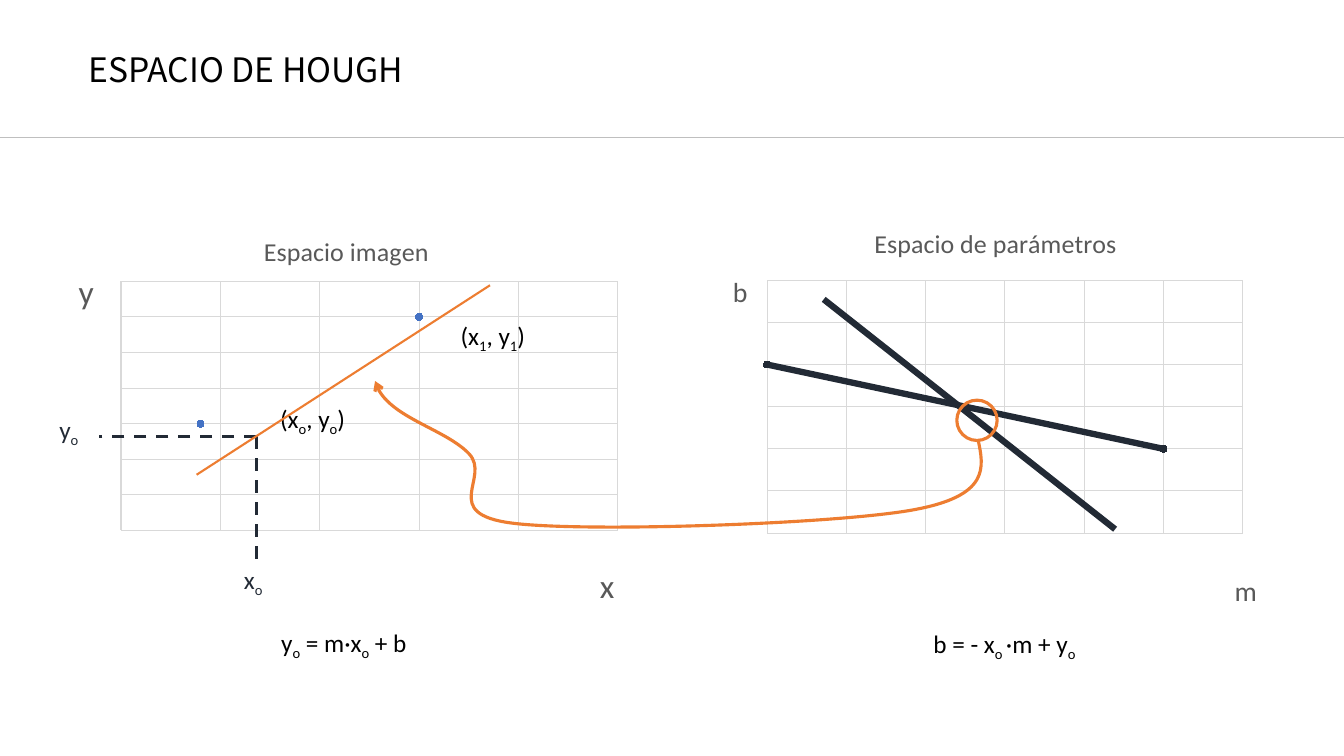
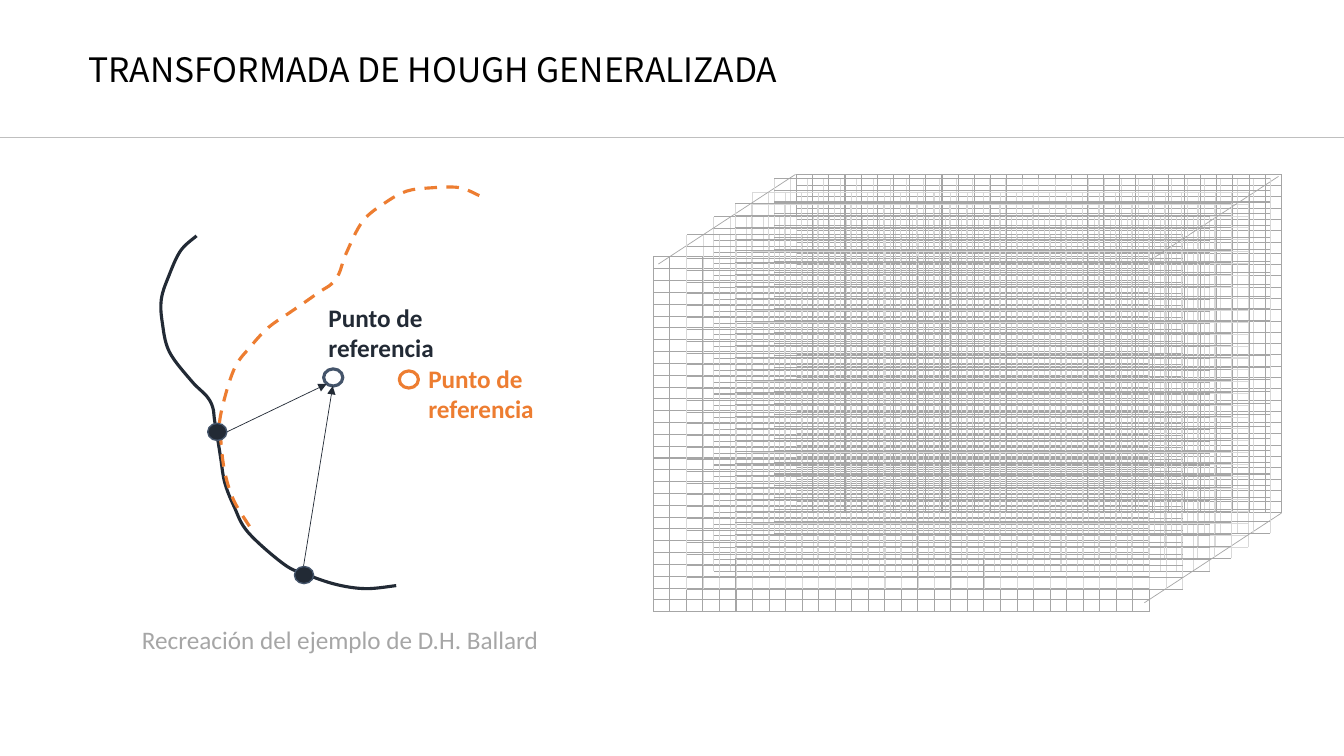
from lxml import etree
from pptx import Presentation
from pptx.chart.data import XyChartData
from pptx.dml.color import RGBColor
from pptx.enum.chart import XL_CHART_TYPE as ChartType, XL_MARKER_STYLE as Marker
from pptx.enum.dml import MSO_LINE as Dash
from pptx.enum.shapes import MSO_CONNECTOR as Connector, MSO_SHAPE as Shape
from pptx.enum.text import MSO_ANCHOR as Anchor
from pptx.oxml.ns import qn
from pptx.util import Inches, Pt

COLORS = {
    "black": "000000", "dark": "222A35", "slate": "44546A", "orange": "ED7D31",
    "blue": "4472C4", "rule": "BFBFBF", "grid": "D9D9D9", "gray": "A6A6A6",
    "heading": "595959",
}
BODY_FONT, TITLE_FONT = "Calibri", "Noto Sans CJK SC"

IMAGE_SPACE = dict(
    at=(0.63, 2.16, 5.61, 3.97), plot=(1.2, 2.8, 4.93, 2.5),
    kind=ChartType.XY_SCATTER, points=[(2, 100), (0.9, 50)],
    x_scale=(0.5, 3, 0.5), y_scale=(None, None, 16.66), series_color="blue",
    heading=("Espacio imagen", 2.57, 2.27, 18.62),
    x_title=("x", 5.89, 5.57, 23.94), y_title=("y", 0.72, 2.62, 23.94),
)
PARAMETER_SPACE = dict(
    at=(7.09, 2.16, 5.43, 3.96), plot=(7.61, 2.79, 4.73, 2.54),
    kind=ChartType.XY_SCATTER_SMOOTH, points=[(0, 100), (2.5, 50)],
    x_scale=(None, 3, 0.5), y_scale=(None, 150, 25), series_color="dark",
    heading=("Espacio de parámetros", 8.63, 2.19, 18.62),
    x_title=("m", 12.21, 5.66, 19.95), y_title=("b", 7.22, 2.66, 19.95),
)
FORMULAS = [
    ("y{o} = m·x{o} + b", (2.69, 6.17, 1.48, 0.4)),
    ("b = - x{o }·m + y{o}", (9.16, 6.18, 1.65, 0.4)),
]
POINT_LABELS = [
    ("x{o}", (2.32, 5.55, 0.65, 0.4), "dark"),
    ("y{o}", (0.49, 4.06, 0.73, 0.4), "dark"),
    ("(x{o}, y{o})", (2.68, 3.95, 1.14, 0.4), "black"),
    ("(x{1}, y{1})", (4.47, 3.13, 1.14, 0.4), "black"),
]
LINK_CURVE = [(9.7, 4.36), (9.05, 5.06), (5.08, 5.19), (4.65, 4.5), (3.72, 3.78)]
LINK_GUIDES = dict(before=(8.69, 3.38), after=(4.11, 2.4))

OUTLINE = [
    (1.95, 2.34), (1.79, 2.49), (1.67, 2.75), (1.6, 2.97), (1.61, 3.2),
    (1.68, 3.49), (1.9, 3.78), (2.05, 3.93), (2.11, 4.04), (2.13, 4.18),
    (2.17, 4.42), (2.19, 4.55), (2.23, 4.79), (2.32, 5.02), (2.46, 5.28),
    (2.82, 5.6), (3.04, 5.7), (3.34, 5.8), (3.63, 5.84), (3.93, 5.81),
]
ROTATED_CORNER, ROTATION = (2.36, 1.68), 64.5
REFERENCE_LABELS = [
    ((4.15, 3.55, 1.61, 0.71), "orange"),
    ((3.16, 2.95, 1.84, 0.71), "dark"),
]
REFERENCE_RINGS = [((3.21, 3.66), "slate"), ((3.96, 3.68), "orange")]
EDGE_POINTS = [(2.92, 5.62), (2.06, 4.2)]
RADIUS_ARROWS = [((2.24, 4.29), (3.24, 3.81)), ((3.01, 5.62), (3.3, 3.83))]
DOT_SIZE = (0.19, 0.17)

LAYER_SIZE = (5.12, 3.67)
REAR_PLOT = (7.9, 1.73, 4.81, 3.36)
BACK_LAYERS = [
    (7.73, 1.59, "gray", "gray"), (7.36, 1.83, "grid", "grid"),
    (6.38, 2.47, "gray", "gray"), (6.98, 2.07, "grid", "gray"),
]
TOP_LAYERS = [
    (6.71, 2.25, "grid", "gray"), (7.58, 1.69, "grid", "gray"),
    (7.19, 1.94, "grid", "gray"),
]
DEPTH_EDGES = [
    ((6.53, 2.62), (7.89, 1.73)), ((11.35, 5.98), (12.71, 5.09)),
    ((11.35, 2.62), (12.68, 1.75)),
]


def rgb(name):
    return RGBColor.from_string(COLORS[name])


def inches(values):
    return [Inches(value) for value in values]


def style_font(font, size, color, face=BODY_FONT, bold=False):
    font.size, font.name, font.bold = Pt(size), face, bold
    font.color.rgb = rgb(color)


def add_text(slide, text, at, size=18, color="black", face=BODY_FONT,
             bold=False, wrap=True, anchor=Anchor.TOP, spacing=None):
    frame = slide.shapes.add_textbox(*inches(at)).text_frame
    frame.word_wrap, frame.vertical_anchor = wrap, anchor
    for index, content in enumerate(text.split("\n")):
        paragraph = frame.paragraphs[0] if index == 0 else frame.add_paragraph()
        paragraph.line_spacing = spacing
        for order, piece in enumerate(content.replace("}", "{").split("{")):
            if piece:
                run = paragraph.add_run()
                run.text = piece
                style_font(run.font, size, color, face, bold)
                if order % 2:
                    run._r.get_or_add_rPr().set("baseline", "-25000")


def style_line(line, color, width, dashed=False, arrow=None):
    line.color.rgb, line.width = rgb(color), Pt(width)
    if dashed:
        line.dash_style = Dash.DASH
    if arrow:
        etree.SubElement(line._get_or_add_ln(), qn("a:tailEnd"), type=arrow)


def add_line(slide, start, end, color, width, **options):
    line = slide.shapes.add_connector(Connector.STRAIGHT, *inches(start + end))
    style_line(line.line, color, width, **options)
    etree.SubElement(line._element.spPr, qn("a:effectLst"))


def add_ellipse(slide, at, color, width, fill=None):
    ellipse = slide.shapes.add_shape(Shape.OVAL, *inches(at))
    ellipse.shadow.inherit = False
    if fill:
        ellipse.fill.solid()
        ellipse.fill.fore_color.rgb = rgb(fill)
    else:
        ellipse.fill.background()
    style_line(ellipse.line, color, width)


def curve_controls(anchors, before, after):
    guided = [before or anchors[0], *anchors, after or anchors[-1]]
    for window in zip(guided, guided[1:], guided[2:], guided[3:]):
        yield (tuple(b + (c - a) / 6 for a, b, c, d in zip(*window)),
               tuple(c - (d - b) / 6 for a, b, c, d in zip(*window)))


def add_curve(slide, anchors, color, before=None, after=None, **options):
    start, *rest = [tuple(inches(anchor)) for anchor in anchors]
    builder = slide.shapes.build_freeform(*start)
    builder.add_line_segments(rest, close=False)
    curve = builder.convert_to_shape()
    segments = curve._element.findall(".//" + qn("a:lnTo"))
    for segment, controls in zip(segments, curve_controls(anchors, before, after)):
        segment.tag = qn("a:cubicBezTo")
        for index, (x, y) in enumerate(controls):
            control = etree.Element(qn("a:pt"), x=str(Inches(x) - curve.left),
                                    y=str(Inches(y) - curve.top))
            segment.insert(index, control)
    curve.shadow.inherit = False
    curve.fill.background()
    style_line(curve.line, color, 2.25, **options)
    return curve


def chart_layout(chart_at, place):
    left, top, width, height = chart_at
    fractions = dict(zip("xywh", ((place[0] - left) / width, (place[1] - top) / height)))
    layout = etree.Element(qn("c:layout"))
    manual = etree.SubElement(layout, qn("c:manualLayout"))
    if len(place) == 4:
        fractions.update(w=place[2] / width, h=place[3] / height)
        etree.SubElement(manual, qn("c:layoutTarget"), val="inner")
    for key in "xy":
        etree.SubElement(manual, qn(f"c:{key}Mode"), val="edge")
    for key, value in fractions.items():
        etree.SubElement(manual, qn(f"c:{key}"), val=f"{value:.4f}")
    return layout


def drop_layout(parent):
    for old in parent.findall(qn("c:layout")):
        parent.remove(old)


def place_title(title, chart_at, content):
    text, left, top, size = content
    title.text_frame.text = text
    style_font(title.text_frame.paragraphs[0].runs[0].font, size, "heading")
    title.element.xpath(".//a:bodyPr")[0].set("rot", "0")
    drop_layout(title.element)
    title.element.find(qn("c:tx")).addnext(chart_layout(chart_at, (left, top)))


def add_scatter(slide, at, plot, kind, points, x_scale, y_scale, series_color,
                heading=None, x_title=None, y_title=None,
                x_grid="grid", y_grid="grid"):
    data = XyChartData()
    series_data = data.add_series("Series 1")
    for x, y in points:
        series_data.add_data_point(x, y)
    chart = slide.shapes.add_chart(kind, *inches(at), data).chart
    style_font(chart.font, 10, "black")
    chart.has_legend = False
    chart.has_title = bool(heading)
    if heading:
        place_title(chart.chart_title, at, heading)
    for axis, scale, grid, title in (
            (chart.category_axis, x_scale, x_grid, x_title),
            (chart.value_axis, y_scale, y_grid, y_title)):
        axis.minimum_scale, axis.maximum_scale, axis.major_unit = scale
        axis.has_major_gridlines = True
        style_line(axis.major_gridlines.format.line, grid, 0.75)
        axis.visible = False
        if title:
            place_title(axis.axis_title, at, title)
    area = chart.element.find(".//" + qn("c:plotArea"))
    drop_layout(area)
    area.insert(0, chart_layout(at, plot))
    chart.plots[0].vary_by_categories = False
    series = chart.plots[0].series[0]
    if kind == ChartType.XY_SCATTER_SMOOTH:
        style_line(series.format.line, series_color, 4.5)
    series.marker.style, series.marker.size = Marker.CIRCLE, 5
    series.marker.format.fill.solid()
    series.marker.format.fill.fore_color.rgb = rgb("blue")
    style_line(series.marker.format.line, "blue", 0.75)
    return chart


def add_layer(slide, left, top, x_grid, y_grid):
    width, height = LAYER_SIZE
    plot = (left + 0.1, top + 0.08, width - 0.2, height - 0.15)
    if (left, top) == BACK_LAYERS[0][:2]:
        plot = REAR_PLOT
    chart = add_scatter(
        slide, (left, top, width, height), plot, ChartType.XY_SCATTER_SMOOTH,
        [(0, 0), (3, 100)], (None, 3, 0.1), (None, 300, 10), "blue",
        x_grid=x_grid, y_grid=y_grid)
    blanks = './/c:xVal//c:pt[@idx="1"] | .//c:yVal//c:pt[@idx="0"]'
    for point in chart.element.xpath(blanks):
        point.getparent().remove(point)


def add_titled_slide(deck, title):
    slide = deck.slides.add_slide(deck.slide_layouts[6])
    add_text(slide, title, (0.78, 0, 11.5, 1.43), size=24, face=TITLE_FONT,
             anchor=Anchor.MIDDLE, spacing=0.9)
    add_line(slide, (0, 1.36), (13.33, 1.36), "rule", 0.5)
    return slide


def build_hough_space(deck):
    slide = add_titled_slide(deck, "ESPACIO DE HOUGH")
    for space in (IMAGE_SPACE, PARAMETER_SPACE):
        add_scatter(slide, **space)
    for formula, at in FORMULAS:
        add_text(slide, formula, at, wrap=False)
    for end in ((2.54, 5.63), (0.98, 4.33)):
        add_line(slide, (2.54, 4.33), end, "dark", 2.25, dashed=True)
    for label, at, color in POINT_LABELS:
        add_text(slide, label, at, color=color)
    add_line(slide, (8.17, 2.97), (11.06, 5.25), "dark", 4.5)
    add_ellipse(slide, (9.49, 3.97, 0.4, 0.4), "orange", 2.25)
    add_curve(slide, LINK_CURVE, "orange", arrow="arrow", **LINK_GUIDES)
    add_line(slide, (1.95, 4.71), (4.86, 2.83), "orange", 1.5)


def build_generalized_transform(deck):
    slide = add_titled_slide(deck, "TRANSFORMADA DE HOUGH GENERALIZADA")
    add_curve(slide, OUTLINE, "dark")
    rotated = add_curve(slide, OUTLINE, "orange", dashed=True)
    rotated.left, rotated.top = inches(ROTATED_CORNER)
    rotated.rotation = ROTATION
    for corner, color in REFERENCE_RINGS:
        add_ellipse(slide, corner + DOT_SIZE, color, 2.25)
    for start, end in RADIUS_ARROWS:
        add_line(slide, start, end, "dark", 0.5, arrow="triangle")
    for at, color in REFERENCE_LABELS:
        add_text(slide, "Punto de\nreferencia", at, color=color, bold=True)
    add_text(slide, "Recreación del ejemplo de D.H. Ballard",
             (1.31, 6.14, 4.18, 0.4), color="gray", wrap=False)
    for layer in BACK_LAYERS:
        add_layer(slide, *layer)
    for start, end in DEPTH_EDGES:
        add_line(slide, start, end, "gray", 0.5)
    for layer in TOP_LAYERS:
        add_layer(slide, *layer)
    for corner in EDGE_POINTS:
        add_ellipse(slide, corner + DOT_SIZE, "slate", 1, fill="dark")


def main():
    deck = Presentation()
    deck.slide_width, deck.slide_height = Inches(13.33), Inches(7.5)
    build_hough_space(deck)
    build_generalized_transform(deck)
    deck.save("out.pptx")


if __name__ == "__main__":
    main()
